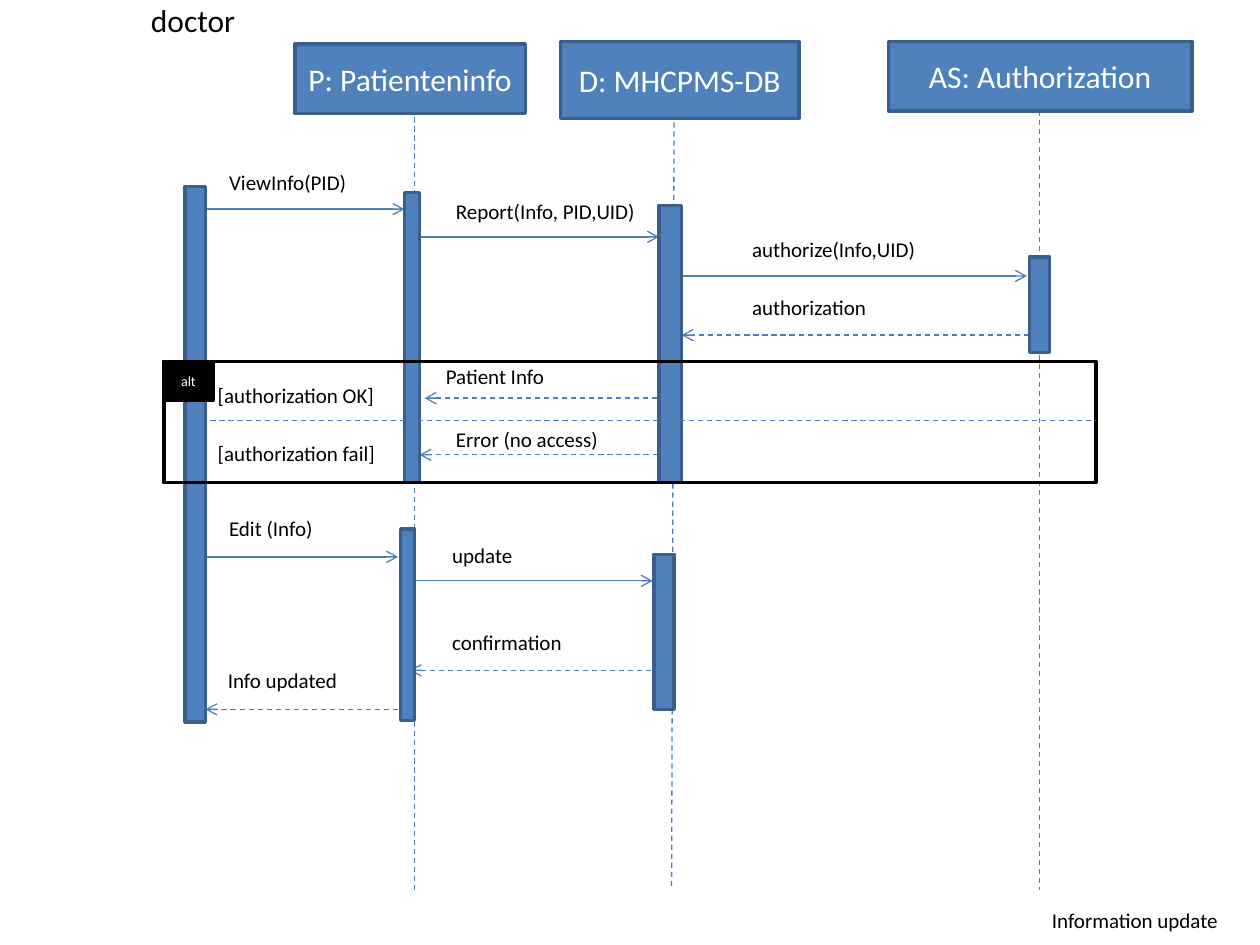
from lxml.etree import SubElement
from pptx import Presentation
from pptx.dml.color import RGBColor
from pptx.enum.dml import MSO_LINE
from pptx.enum.shapes import MSO_CONNECTOR as Connector, MSO_SHAPE as Shape
from pptx.enum.text import MSO_ANCHOR as Anchor, MSO_AUTO_SIZE as AutoSize, PP_ALIGN as Align
from pptx.oxml.ns import qn
from pptx.util import Inches, Pt

COLORS = {"blue": "4F81BD", "edge": "3A5F8C", "line": "4B7EBC",
          "black": "000000", "white": "FFFFFF"}
LIFELINE_END = 7.06

# left, top, width, height, name
HEADERS = [
    (2.34, 0.35, 1.83, 0.55, "P: Patienteninfo"),
    (4.45, 0.33, 1.89, 0.61, "D: MHCPMS-DB"),
    (7.05, 0.33, 2.41, 0.55, "AS: Authorization"),
]
# top x, top y, bottom x
LIFELINES = [(3.29, 0.86, 3.29), (5.35, 0.9, 5.33), (8.25, 0.88, 8.25)]
# left, top, width, height
ACTIVATIONS = [
    (1.47, 1.48, 0.16, 4.25),
    (3.21, 1.53, 0.12, 2.3),
    (3.18, 4.2, 0.11, 1.52),
    (5.23, 1.63, 0.18, 2.2),
    (5.19, 4.4, 0.16, 1.23),
    (8.17, 2.04, 0.16, 0.76),
]
# from x, to x, y, label, label left, label top, label width
MESSAGES = [
    (1.62, 3.21, 1.66, "ViewInfo(PID)", 1.72, 1.3, 1.44),
    (3.3, 5.23, 1.88, "Report(Info, PID,UID)", 3.52, 1.53, 1.65),
    (5.3, 8.15, 2.19, "authorize(Info,UID)", 5.87, 1.83, 1.65),
    (8.17, 5.41, 2.66, "authorization", 5.87, 2.29, 1.65),
    (5.29, 3.37, 3.16, "Patient Info", 3.44, 2.84, 1.65),
    (5.22, 3.33, 3.61, "Error (no access)", 3.52, 3.34, 1.65),
    (1.53, 3.16, 4.42, "Edit (Info)", 1.72, 4.04, 1.44),
    (3.24, 5.18, 4.61, "update", 3.49, 4.26, 1.44),
    (5.17, 3.25, 5.32, "confirmation", 3.49, 4.95, 1.44),
    (3.16, 1.63, 5.63, "Info updated", 1.71, 5.25, 1.44),
]
# text, left, top, width
GUARDS = [("[authorization OK]", 1.63, 2.99, 1.53),
          ("[authorization fail]", 1.63, 3.45, 1.53)]


def color(name):
    return RGBColor.from_string(COLORS[name])


def write(frame, text, size=12, ink="black", align=Align.LEFT, anchor=Anchor.TOP):
    frame.word_wrap = True
    frame.vertical_anchor = anchor
    para = frame.paragraphs[0]
    para.alignment = align
    span = para.add_run()
    span.text = text
    span.font.name = "Calibri"
    span.font.size = Pt(size)
    span.font.color.rgb = color(ink)


def add_box(page, left, top, width, height, text="", size=18, fill="blue", edge="edge"):
    box = page.shapes.add_shape(Shape.RECTANGLE, Inches(left), Inches(top),
                                Inches(width), Inches(height))
    box.shadow.inherit = False
    if fill:
        box.fill.solid()
        box.fill.fore_color.rgb = color(fill)
    else:
        box.fill.background()
    box.line.color.rgb = color(edge)
    box.line.width = Pt(2)
    if text:
        write(box.text_frame, text, size=size, ink="white",
              align=Align.CENTER, anchor=Anchor.MIDDLE)


def add_label(page, text, left, top, width, height=0.3, size=12):
    box = page.shapes.add_textbox(Inches(left), Inches(top), Inches(width), Inches(height))
    write(box.text_frame, text, size=size)
    box.text_frame.auto_size = AutoSize.SHAPE_TO_FIT_TEXT


def add_line(page, x1, y1, x2, y2, dashed=True, arrow=False):
    line = page.shapes.add_connector(Connector.STRAIGHT, Inches(x1), Inches(y1),
                                     Inches(x2), Inches(y2))
    line.line.color.rgb = color("line")
    line.line.width = Pt(0.75)
    if dashed:
        line.line.dash_style = MSO_LINE.DASH
    if arrow:
        SubElement(line.line._get_or_add_ln(), qn("a:tailEnd"), type="arrow")
    SubElement(line._element.spPr, qn("a:effectLst"))


def main():
    deck = Presentation()
    deck.slide_width, deck.slide_height = Inches(10), Inches(7.5)
    page = deck.slides.add_slide(deck.slide_layouts[6])

    # Lifelines and their headers
    for top_x, top_y, bottom_x in LIFELINES:
        add_line(page, top_x, top_y, bottom_x, LIFELINE_END)
    for header in HEADERS:
        add_box(page, *header)
    add_label(page, "doctor", 1.1, -0.04, 0.9, height=0.4, size=18)

    # Message arrows: replies run leftwards and are dashed
    for start, end, y, *_ in MESSAGES:
        add_line(page, start, y, end, y, dashed=end < start, arrow=True)

    # Activation bars
    for bar in ACTIVATIONS:
        add_box(page, *bar)

    # Alternative frame
    add_box(page, 1.3, 2.87, 7.4, 0.96, fill=None, edge="black")
    add_box(page, 1.3, 2.87, 0.39, 0.31, "alt", size=8, fill="black", edge="black")
    add_line(page, 1.67, 3.34, 8.7, 3.34)
    for guard in GUARDS:
        add_label(page, *guard)

    # Message labels and caption
    for *_, text, left, top, width in MESSAGES:
        add_label(page, text, left, top, width)
    add_label(page, "Information update", 8.25, 7.15, 1.73)

    deck.save("out.pptx")


main()
